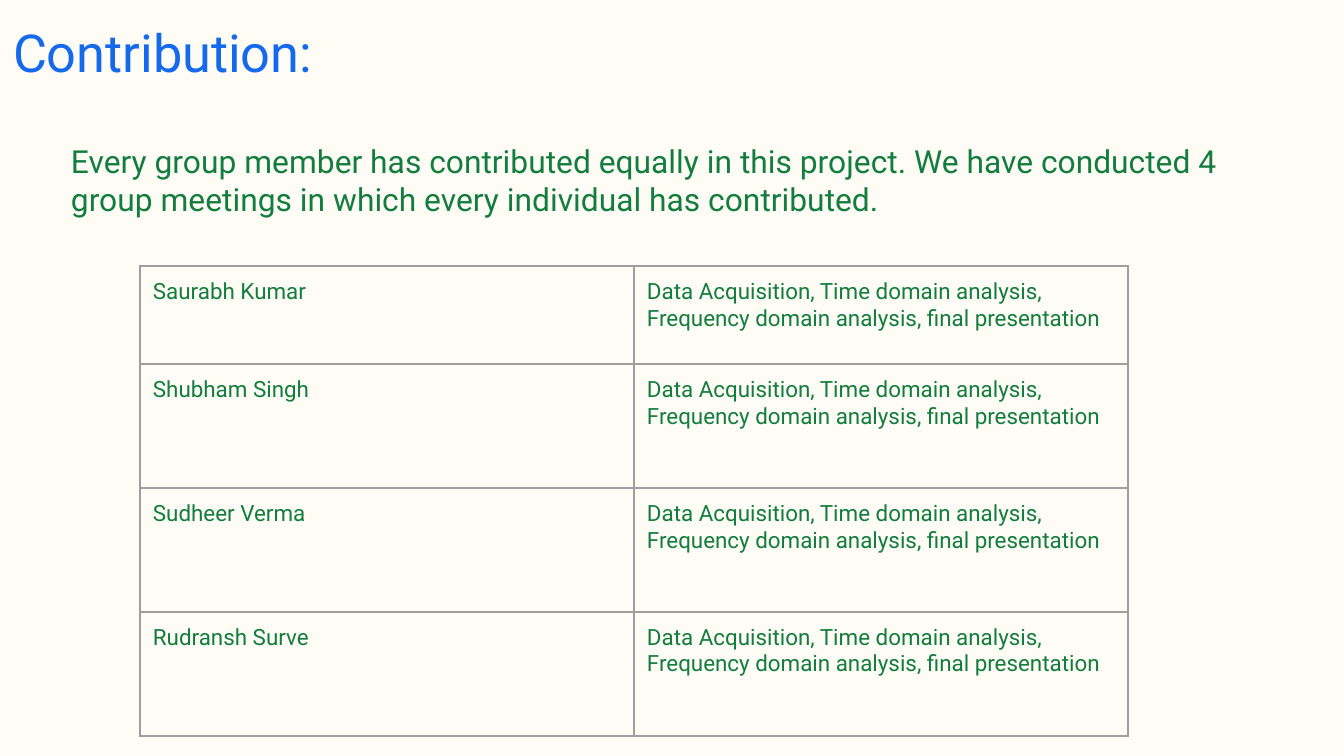
from dataclasses import dataclass

from lxml.etree import SubElement
from pptx import Presentation
from pptx.dml.color import RGBColor
from pptx.oxml.ns import qn
from pptx.util import Pt

HEADING = "Contribution:"
SUMMARY = (
    "Every group member has contributed equally in this project. "
    "We have conducted 4 group meetings in which every individual has contributed."
)
WORK = "Data Acquisition, Time domain analysis, Frequency domain analysis, final presentation"
MEMBERS = ["Saurabh Kumar", "Shubham Singh", "Sudheer Verma", "Rudransh Surve"]

SLIDE_SIZE = (1344, 756)
HEADING_BOX = (0, 7, 687, 90)
SUMMARY_BOX = (58, 129, 1235, 177)
TABLE_LEFT, TABLE_TOP = 140, 266
COLUMN_WIDTH = 494
FIRST_ROW_HEIGHT, ROW_HEIGHT = 98, 124
INSET = 13


@dataclass(frozen=True)
class Theme:
    font: str = "Roboto"
    background: str = "FFFCF5"
    blue: str = "146AEB"
    green: str = "137C3F"
    border: str = "9E9E9E"
    border_width: float = 0.75
    heading_size: int = 28
    summary_size: int = 17
    cell_size: int = 12


THEME = Theme()


def px(length):
    return round(length * 914400 / 134.4)


def write(holder, words, size, color):
    holder.margin_left = holder.margin_right = px(INSET)
    holder.margin_top = holder.margin_bottom = px(INSET)
    paragraph = getattr(holder, "text_frame", holder).paragraphs[0]
    paragraph.text = words
    paragraph.font.name = THEME.font
    paragraph.font.size = Pt(size)
    paragraph.font.color.rgb = RGBColor.from_string(color)


def add_words(slide, box, words, size, color):
    frame = slide.shapes.add_textbox(*map(px, box)).text_frame
    frame.word_wrap = True
    write(frame, words, size, color)


def add_borders(cell):
    properties = cell._tc.get_or_add_tcPr()
    for index, side in enumerate(("a:lnL", "a:lnR", "a:lnT", "a:lnB")):
        line = properties.makeelement(qn(side), {"w": str(Pt(THEME.border_width))})
        fill = SubElement(line, qn("a:solidFill"))
        SubElement(fill, qn("a:srgbClr"), val=THEME.border)
        properties.insert(index, line)


def add_member_table(slide):
    rows = [(member, WORK) for member in MEMBERS]
    heights = [FIRST_ROW_HEIGHT] + [ROW_HEIGHT] * (len(rows) - 1)
    box = (TABLE_LEFT, TABLE_TOP, 2 * COLUMN_WIDTH, sum(heights))
    table = slide.shapes.add_table(len(rows), 2, *map(px, box)).table
    table.first_row = table.horz_banding = False
    for column in table.columns:
        column.width = px(COLUMN_WIDTH)
    for row, height, entries in zip(table.rows, heights, rows):
        row.height = px(height)
        for cell, words in zip(row.cells, entries):
            write(cell, words, THEME.cell_size, THEME.green)
            cell.fill.background()
            add_borders(cell)


def main():
    presentation = Presentation()
    presentation.slide_width, presentation.slide_height = map(px, SLIDE_SIZE)
    slide = presentation.slides.add_slide(presentation.slide_layouts[6])
    slide.background.fill.solid()
    slide.background.fill.fore_color.rgb = RGBColor.from_string(THEME.background)
    add_words(slide, HEADING_BOX, HEADING, THEME.heading_size, THEME.blue)
    add_words(slide, SUMMARY_BOX, SUMMARY, THEME.summary_size, THEME.green)
    add_member_table(slide)
    presentation.save("out.pptx")


if __name__ == "__main__":
    main()
